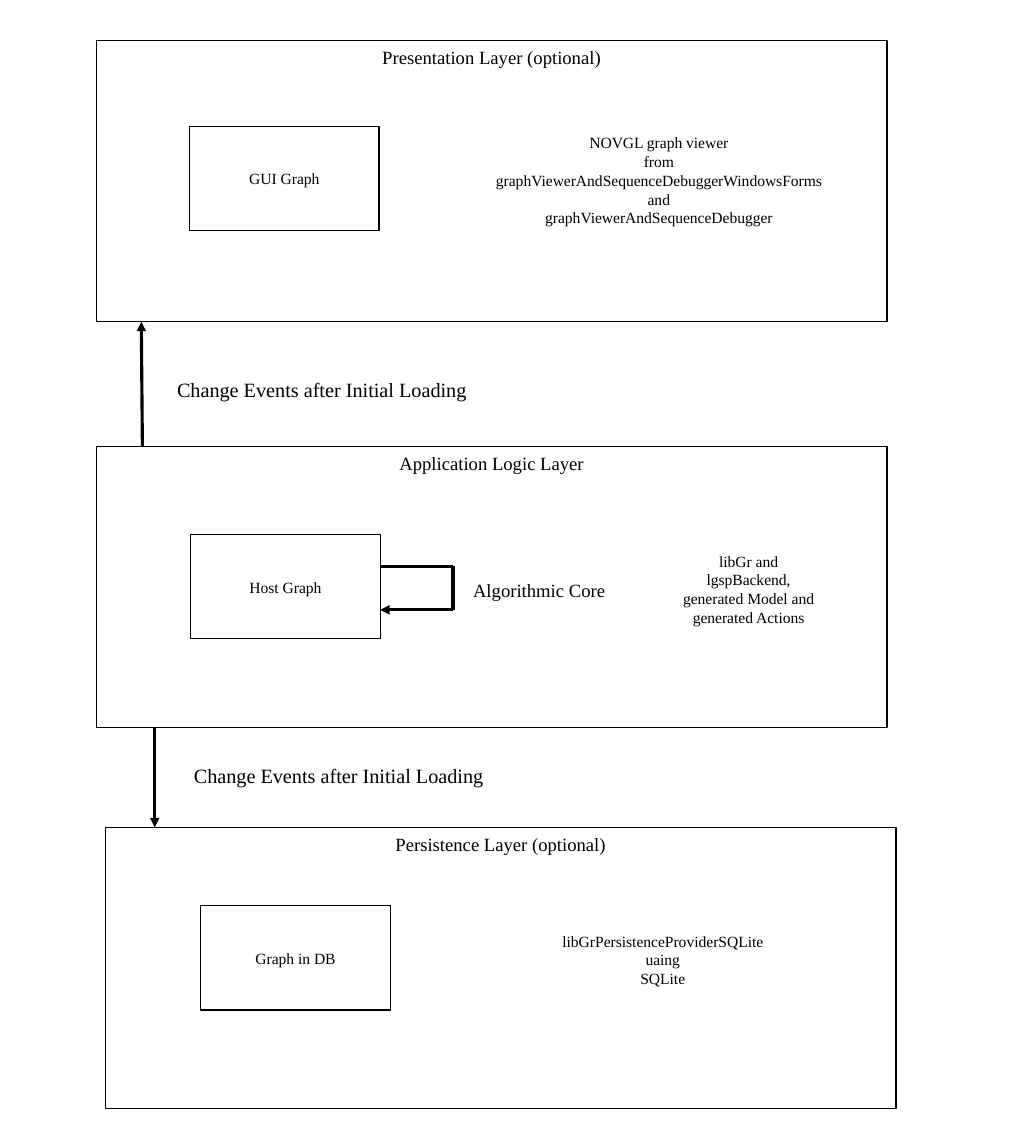
import pptx
import pptx.dml.color
import pptx.enum.shapes
import pptx.enum.text
import pptx.oxml
import pptx.oxml.ns
import pptx.util

COLUMNS, ROWS = 90.6, 102.4
CELL = pptx.util.Inches(0.1)
LAYER_SIZE = (70.5, 25.1)
GRAPH_SIZE = (16.9, 9.3)
COLOURS = {"paper": "FFFFFF", "ink": "000000"}
TYPEFACE = "Times New Roman"
TITLE_SIZE, EVENT_SIZE, DETAIL_SIZE = 12, 13, 10

ALIGN = pptx.enum.text.PP_ALIGN
ANCHOR = pptx.enum.text.MSO_ANCHOR
FIT = pptx.enum.text.MSO_AUTO_SIZE

TITLE_FRAME = {"word_wrap": True, "vertical_anchor": ANCHOR.TOP}
GRAPH_FRAME = {"word_wrap": True, "vertical_anchor": ANCHOR.MIDDLE}
NOTE_FRAME = {"word_wrap": True, "auto_size": FIT.SHAPE_TO_FIT_TEXT}
EVENT_FRAME = {"word_wrap": False, "auto_size": FIT.SHAPE_TO_FIT_TEXT}

LAYERS = [
    ("Persistence Layer (optional)", (9.4, 73.8), "Graph in DB", (17.9, 80.8)),
    ("Application Logic Layer", (8.6, 39.8), "Host Graph", (17, 47.7)),
    ("Presentation Layer (optional)", (8.6, 3.6), "GUI Graph", (16.9, 11.3)),
]
DETAILS = [
    ((45.5, 82.6), (27.2, 6),
     ["libGrPersistenceProviderSQLite", "uaing", "SQLite"]),
    ((42.5, 11.4), (32.5, 9.6),
     ["NOVGL graph viewer",
      "from graphViewerAndSequenceDebuggerWindowsForms and",
      "graphViewerAndSequenceDebugger"]),
    ((56.8, 48.7), (19.9, 7.3),
     ["libGr and", "lgspBackend,", "generated Model and", "generated Actions"]),
]
EVENT_LABELS = [(14.8, 33.2), (16.3, 67.6)]
EVENT_ARROWS = [((13.8, 64.9), (13.8, 73.8)), ((12.7, 39.8), (12.6, 28.7))]
CORE_LOOP = [(33.9, 50.5), (40.4, 50.5), (40.4, 54.4), (33.9, 54.4)]


def grid(*lengths):
    return [round(length * CELL) for length in lengths]


def colour(name):
    return pptx.dml.color.RGBColor.from_string(COLOURS[name])


def apply_format(target, values):
    for attribute, value in values.items():
        setattr(target, attribute, value)


def draw_outline(line):
    line.fill.solid()
    line.color.rgb = colour("ink")
    line.width = pptx.util.Pt(0)


def write_lines(frame, lines, size, frame_format, alignment):
    apply_format(frame, frame_format)
    for index, wording in enumerate(lines):
        paragraph = frame.add_paragraph() if index else frame.paragraphs[0]
        paragraph.alignment = alignment
        run = paragraph.add_run()
        run.text = wording
        apply_format(run.font, {"name": TYPEFACE, "size": pptx.util.Pt(size)})
        run.font.color.rgb = colour("ink")


def add_box(slide, place, extent, caption, size, frame_format):
    box = slide.shapes.add_shape(
        pptx.enum.shapes.MSO_SHAPE.RECTANGLE, *grid(*place, *extent))
    box.shadow.inherit = False
    box.fill.solid()
    box.fill.fore_color.rgb = colour("paper")
    draw_outline(box.line)
    write_lines(box.text_frame, [caption], size, frame_format, ALIGN.CENTER)


def add_label(slide, place, extent, lines, size, frame_format, alignment):
    label = slide.shapes.add_textbox(*grid(*place, *extent))
    write_lines(label.text_frame, lines, size, frame_format, alignment)


def add_line(slide, start, end, arrow=False):
    connector = slide.shapes.add_connector(
        pptx.enum.shapes.MSO_CONNECTOR.STRAIGHT, *grid(*start, *end))
    draw_outline(connector.line)
    properties = connector._element.spPr
    if arrow:
        head = pptx.oxml.parse_xml(
            f'<a:tailEnd {pptx.oxml.ns.nsdecls("a")} type="triangle"/>')
        properties.find(pptx.oxml.ns.qn("a:ln")).append(head)
    properties.append(
        pptx.oxml.parse_xml(f'<a:effectLst {pptx.oxml.ns.nsdecls("a")}/>'))


def main():
    presentation = pptx.Presentation()
    apply_format(presentation, {
        "slide_width": round(COLUMNS * CELL),
        "slide_height": round(ROWS * CELL),
    })
    slide = presentation.slides.add_slide(presentation.slide_layouts[6])

    for title, layer_place, graph, graph_place in LAYERS:
        add_box(slide, layer_place, LAYER_SIZE, title, TITLE_SIZE, TITLE_FRAME)
        add_box(slide, graph_place, GRAPH_SIZE, graph, DETAIL_SIZE, GRAPH_FRAME)

    for start, end in EVENT_ARROWS:
        add_line(slide, start, end, arrow=True)
    for place in EVENT_LABELS:
        add_label(slide, place, (27.8, 3), ["Change Events after Initial Loading"],
                  EVENT_SIZE, EVENT_FRAME, ALIGN.LEFT)

    for start, end in zip(CORE_LOOP, CORE_LOOP[1:]):
        add_line(slide, start, end, arrow=end == CORE_LOOP[-1])
    add_label(slide, (41.2, 51.1), (20.4, 2.9), ["Algorithmic Core"],
              TITLE_SIZE, NOTE_FRAME, ALIGN.LEFT)

    for place, extent, lines in DETAILS:
        add_label(slide, place, extent, lines, DETAIL_SIZE, NOTE_FRAME, ALIGN.CENTER)

    presentation.save("out.pptx")


if __name__ == "__main__":
    main()
